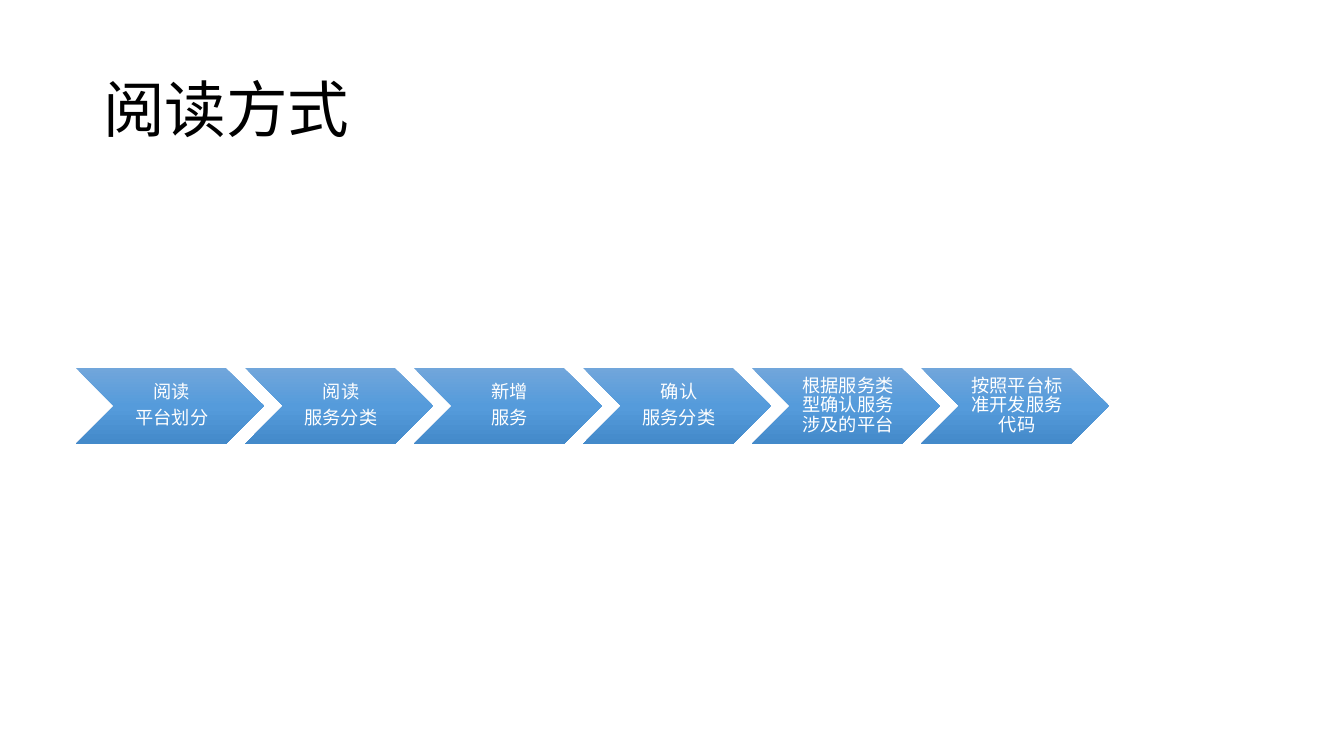
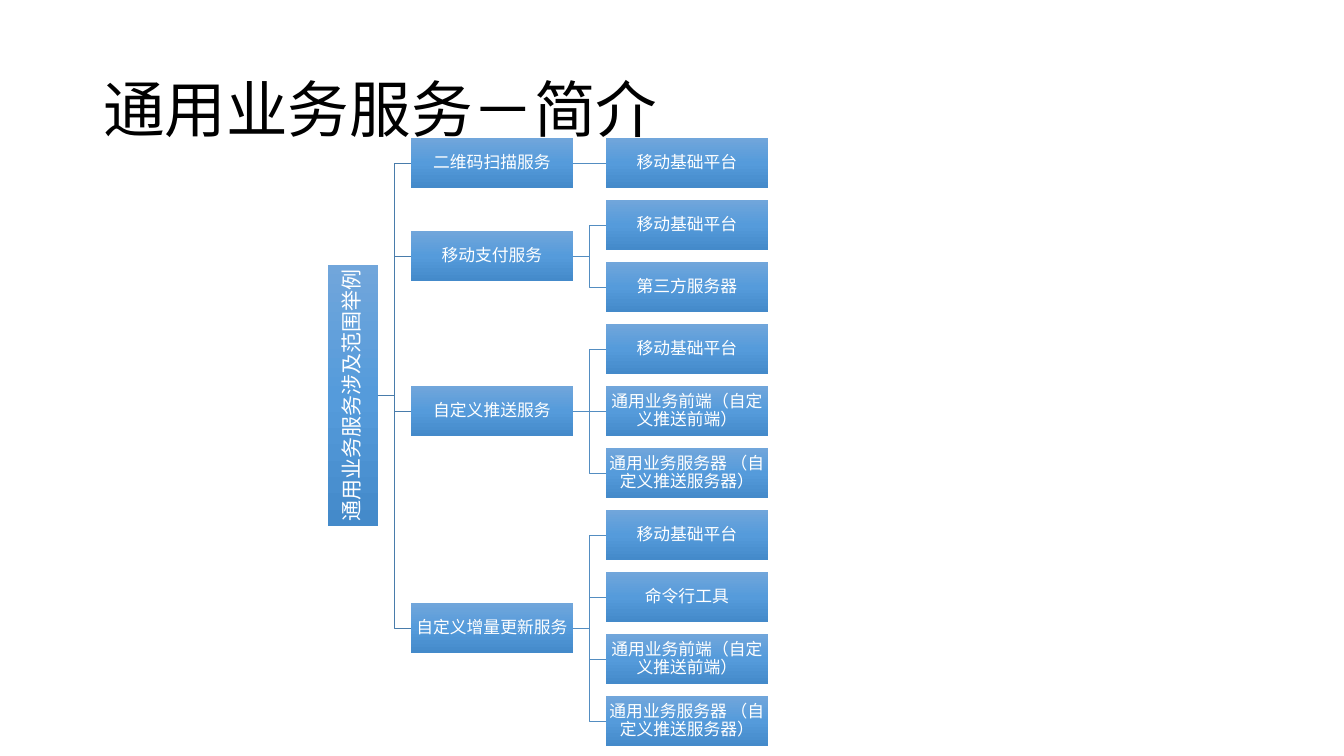
from copy import deepcopy
from pptx import Presentation
from pptx.dml.color import RGBColor
from pptx.enum.shapes import MSO_CONNECTOR as LINK, MSO_SHAPE as SHAPE
from pptx.enum.text import MSO_ANCHOR as ANCHOR, PP_ALIGN as ALIGN
from pptx.oxml.ns import qn
from pptx.oxml.xmlchemy import OxmlElement
from pptx.util import Pt

PX = 914400 / 100.8
FONT = "Noto Sans CJK SC"
COLORS = {
    "title": "000000",
    "label": "FFFFFF",
    "top": "71A6DB",
    "middle": "559BDB",
    "bottom": "448ACA",
    "trunk": "497CAB",
    "branch": "538DC1",
}
GRADIENT = {0: "top", 0.5: "middle", 1: "bottom"}
TITLE_BOX = {"left": 93, "top": 40, "width": 1159, "height": 146}
TITLE_FORMAT = {"alignment": ALIGN.LEFT, "line_spacing": 0.9}


def write_text(frame, lines, size, color, paragraph_format):
    frame.word_wrap = True
    frame.vertical_anchor = ANCHOR.MIDDLE
    frame.text = "\n".join(lines)
    for paragraph in frame.paragraphs:
        for name, value in paragraph_format.items():
            setattr(paragraph, name, value)
        for run in paragraph.runs:
            run.font.size = Pt(size)
            run.font.name = FONT
            run.font.color.rgb = RGBColor.from_string(COLORS[color])
            east_asian = OxmlElement("a:ea")
            east_asian.set("typeface", FONT)
            run.font._element.find(qn("a:latin")).addnext(east_asian)


def add_block(slide, kind, box, lines, size, margins):
    block = slide.shapes.add_shape(kind, *[round(length * PX) for length in box])
    block.shadow.inherit = False
    block.line.fill.background()
    block.fill.gradient()
    block.fill.gradient_angle = 270
    stops = block.element.spPr.find(qn("a:gradFill")).find(qn("a:gsLst"))
    stops.append(deepcopy(stops[-1]))
    for stop, (position, color) in zip(block.fill.gradient_stops, GRADIENT.items()):
        stop.position = position
        stop.color.rgb = RGBColor.from_string(COLORS[color])
    for side, margin in zip(("left", "top", "right", "bottom"), margins):
        setattr(block.text_frame, f"margin_{side}", round(margin * PX))
    block_format = {
        "alignment": ALIGN.CENTER,
        "line_spacing": 0.9,
        "space_after": Pt(round(size * 0.35, 1)),
    }
    write_text(block.text_frame, lines, size, "label", block_format)
    return block


deck = Presentation()
deck.slide_width = round(1344 * PX)
deck.slide_height = round(756 * PX)

slides = []
for heading in ("阅读方式", "通用业务服务－简介"):
    slide = deck.slides.add_slide(deck.slide_layouts[5])
    for name, length in TITLE_BOX.items():
        setattr(slide.shapes.title, name, round(length * PX))
    write_text(slide.shapes.title.text_frame, [heading], 44, "title", TITLE_FORMAT)
    slides.append(slide)
reading, services = slides

STEPS = [
    ["阅读", "平台划分"],
    ["阅读", "服务分类"],
    ["新增", "服务"],
    ["确认", "服务分类"],
    ["根据服务类型确认服务涉及的平台"],
    ["按照平台标准开发服务代码"],
]
for index, step in enumerate(STEPS):
    add_block(reading, SHAPE.CHEVRON, (76 + 169 * index, 368, 188, 76), step, 13, (6, 2, 2, 2))

BASE = "移动基础平台"
FRONT_END = "通用业务前端（自定义推送前端）"
SERVER = "通用业务服务器 （自定义推送服务器）"
SCOPES = {
    "二维码扫描服务": [BASE],
    "移动支付服务": [BASE, "第三方服务器"],
    "自定义推送服务": [BASE, FRONT_END, SERVER],
    "自定义增量更新服务": [BASE, "命令行工具", FRONT_END, SERVER],
}
NODE_WIDTH, NODE_HEIGHT, ROW_PITCH = 162, 50, 62
NODE_MARGINS = (1, 1, 1, 1)

links = []
service_nodes = []
row_top = 138
for service, platforms in SCOPES.items():
    service_top = row_top + ROW_PITCH * (len(platforms) - 1) // 2
    service_node = add_block(services, SHAPE.RECTANGLE, (411, service_top, NODE_WIDTH, NODE_HEIGHT),
                             [service], 12, NODE_MARGINS)
    service_nodes.append((service_node, service_top))
    for platform in platforms:
        platform_node = add_block(services, SHAPE.RECTANGLE, (606, row_top, NODE_WIDTH, NODE_HEIGHT),
                                  [platform], 12, NODE_MARGINS)
        kind = LINK.STRAIGHT if row_top == service_top else LINK.ELBOW
        links.append((service_node, platform_node, kind, "branch"))
        row_top += ROW_PITCH

ROOT_HEIGHT = 261
root_center = (service_nodes[0][1] + service_nodes[-1][1] + NODE_HEIGHT) // 2
root = add_block(services, SHAPE.RECTANGLE, (328, root_center - ROOT_HEIGHT // 2, NODE_HEIGHT, ROOT_HEIGHT),
                 ["通用业务服务涉及范围举例"], 15, NODE_MARGINS)
root.element.txBody.bodyPr.set("vert", "vert270")
links += [(root, node, LINK.ELBOW, "trunk") for node, top in service_nodes]

for parent, child, kind, color in links:
    link = services.shapes.add_connector(kind, 0, 0, 0, 0)
    link.begin_connect(parent, 3)
    link.end_connect(child, 1)
    link.line.width = Pt(0.5)
    link.line.color.rgb = RGBColor.from_string(COLORS[color])
    link.element.spPr.append(OxmlElement("a:effectLst"))

deck.save("out.pptx")
